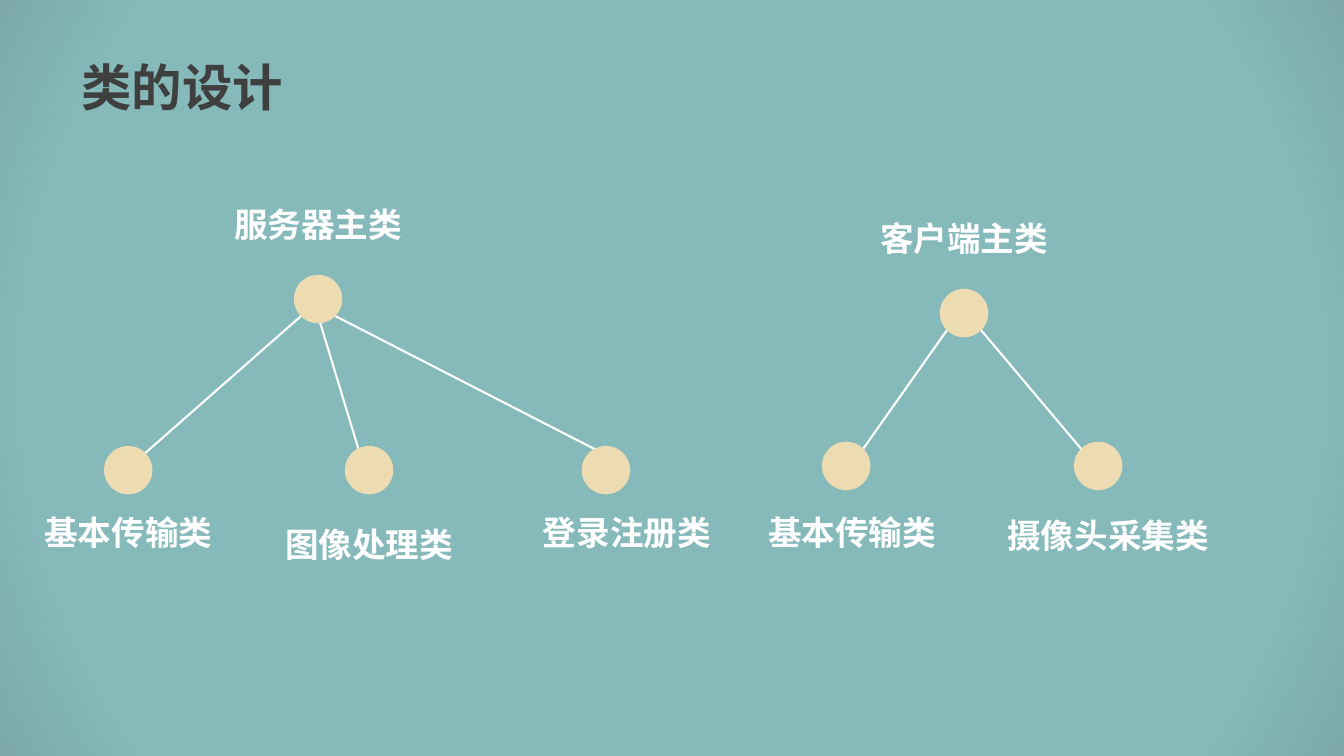
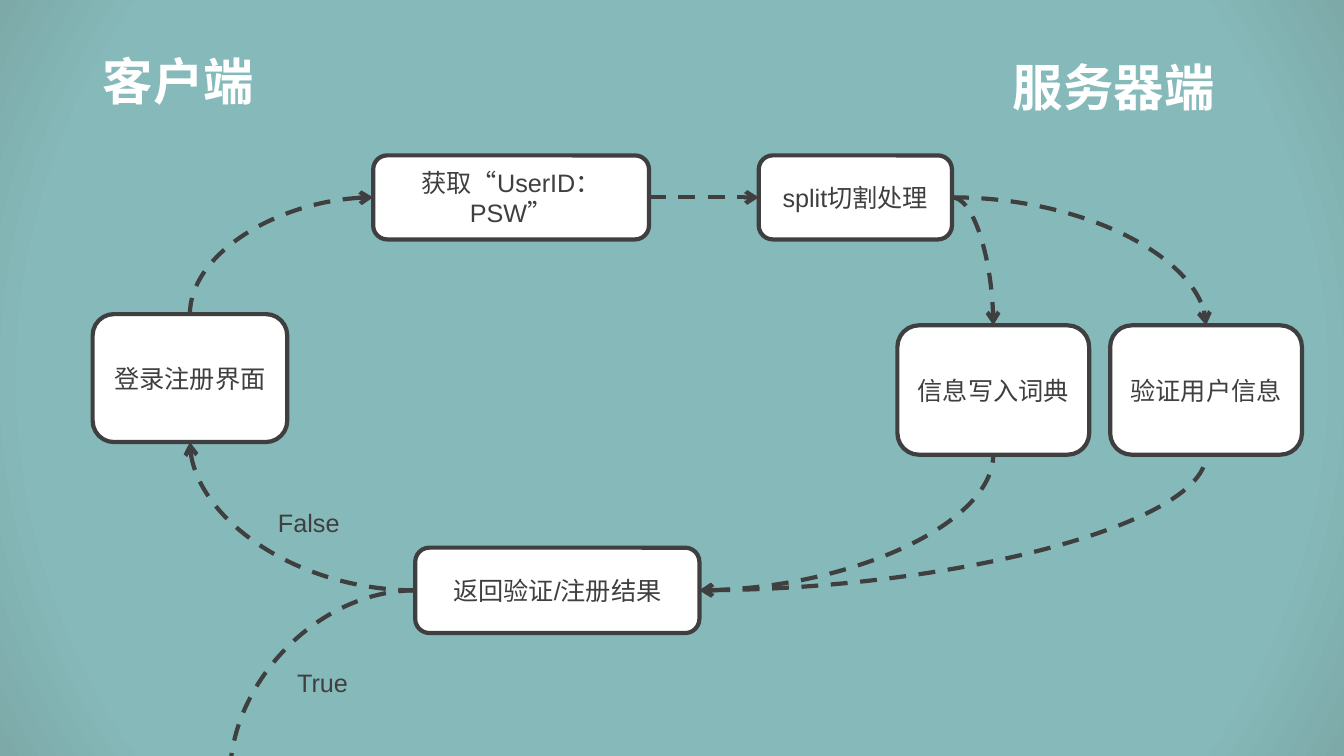
from lxml import etree
from pptx import Presentation
from pptx import util as u
from pptx.dml.color import RGBColor
from pptx.enum import dml, shapes, text
from pptx.oxml.ns import qn

Pt = u.Pt
TEAL, TEAL_MID, TEAL_EDGE = "87BBB9", "86B9BA", "7DAAA9"
WHITE, DARK, SAND = "FFFFFF", "3F3F3F", "EDDCB1"
HEAD_FONT, BODY_FONT = "Noto Sans CJK SC", "Arial"
TOP, LEFT, BOTTOM, RIGHT = range(4)  # connection sites of a box
DOT, LABEL_W, LABEL_H = 34.6, 210, 48


def rgb(hex_color):
    return RGBColor.from_string(hex_color)


class Deck:
    """Shared style and the slide being built."""

    def __init__(self):
        self.prs = Presentation()
        self.prs.slide_width, self.prs.slide_height = Pt(960), Pt(540)
        self.s = None
        self.background()

    def background(self):
        master = self.prs.slide_master
        master.background.fill.gradient()
        grad = next(master.element.iter(qn("a:gradFill")))
        for child in list(grad):
            grad.remove(child)
        stops = etree.SubElement(grad, qn("a:gsLst"))
        for pos, color in ((0, TEAL), (83, TEAL_MID), (100, TEAL_EDGE)):
            gs = etree.SubElement(stops, qn("a:gs"), pos=str(pos * 1000))
            etree.SubElement(gs, qn("a:srgbClr"), val=color)
        circle = etree.SubElement(grad, qn("a:path"), {"path": "circle"})
        etree.SubElement(circle, qn("a:fillToRect"),
                         {side: "50000" for side in "ltrb"})

    def slide(self):
        self.s = self.prs.slides.add_slide(self.prs.slide_layouts[5])

    def set_text(self, sp, words, size, color, font=BODY_FONT, bold=False,
                 align=text.PP_ALIGN.CENTER, spacing=1.0):
        tf = sp.text_frame
        tf.text = words
        tf.word_wrap = True
        tf.auto_size = text.MSO_AUTO_SIZE.NONE
        tf.vertical_anchor = text.MSO_ANCHOR.MIDDLE
        p = tf.paragraphs[0]
        p.alignment, p.line_spacing = align, spacing
        r = p.runs[0]
        r.font.size, r.font.bold, r.font.name = Pt(size), bold, font
        r.font.color.rgb = rgb(color)
        latin = r.font._element.find(qn("a:latin"))
        latin.addnext(etree.Element(qn("a:ea"), typeface=HEAD_FONT))

    def textbox(self, x, y, w, h):
        return self.s.shapes.add_textbox(Pt(x), Pt(y), Pt(w), Pt(h))

    def heading(self, sp, words, color):
        self.set_text(sp, words, 36, color, HEAD_FONT, True,
                      text.PP_ALIGN.LEFT, 0.9)

    def title(self, words, x, y, w, color):
        sp = self.s.shapes.title
        sp.left, sp.top, sp.width, sp.height = Pt(x), Pt(y), Pt(w), Pt(63.4)
        self.heading(sp, words, color)

    def side_heading(self, words, x, y, w, color):
        self.heading(self.textbox(x, y, w, 63.4), words, color)

    def label(self, words, cx, cy):
        sp = self.textbox(cx - LABEL_W / 2, cy - LABEL_H / 2, LABEL_W, LABEL_H)
        self.set_text(sp, words, 24, WHITE, HEAD_FONT, True)

    def note(self, words, x, y):
        self.set_text(self.textbox(x, y, 78, 29), words, 18, DARK,
                      align=text.PP_ALIGN.LEFT)

    def shape(self, kind, x, y, w, h, fill):
        sp = self.s.shapes.add_shape(kind, Pt(x), Pt(y), Pt(w), Pt(h))
        sp.shadow.inherit = False
        sp.fill.solid()
        sp.fill.fore_color.rgb = rgb(fill)
        return sp

    def dot(self, cx, cy):
        sp = self.shape(shapes.MSO_SHAPE.OVAL, cx - DOT / 2, cy - DOT / 2,
                        DOT, DOT, SAND)
        sp.line.fill.background()

    def box(self, words, x, y, w, h):
        sp = self.shape(shapes.MSO_SHAPE.ROUNDED_RECTANGLE, x, y, w, h, WHITE)
        sp.line.color.rgb, sp.line.width = rgb(DARK), Pt(3)
        self.set_text(sp, words, 18, DARK)
        return sp

    def line(self, x1, y1, x2, y2, color=WHITE, width=1.5,
             kind=shapes.MSO_CONNECTOR.STRAIGHT):
        c = self.s.shapes.add_connector(kind, Pt(x1), Pt(y1), Pt(x2), Pt(y2))
        c.line.color.rgb, c.line.width = rgb(color), Pt(width)
        etree.SubElement(c._element.spPr, qn("a:effectLst"))
        return c

    def flow(self, start, start_site, end, end_site=None, arrow="tailEnd",
             curved=True):
        """Dashed arrow; a curve leaves sideways and arrives vertically."""
        kinds = shapes.MSO_CONNECTOR
        x, y = end if end_site is None else (0, 0)
        c = self.line(0, 0, x, y, DARK, 3,
                      kinds.CURVE if curved else kinds.STRAIGHT)
        c.begin_connect(start, start_site)
        if end_site is not None:
            c.end_connect(end, end_site)
        if curved:
            geom = c._element.spPr.find(qn("a:prstGeom"))
            geom.set("prst", "curvedConnector2")
        c.line.dash_style = dml.MSO_LINE.DASH
        etree.SubElement(c.line._get_or_add_ln(), qn("a:" + arrow),
                         type="arrow")

    def tree(self, root, cx, cy, child_y, children):
        """Children: name, dot x, label centre, line start and end offsets."""
        for _, x, _, (dx1, dy1), (dx2, dy2) in children:
            self.line(cx + dx1, cy + dy1, x + dx2, child_y + dy2)
        self.dot(cx, cy)
        self.label(root, cx, cy - 53.6)
        for name, x, (label_x, label_y), _, _ in children:
            self.dot(x, child_y)
            self.label(name, label_x, label_y)


def class_design(d):
    d.slide()
    d.title("类的设计", 51, 32.4, 828, DARK)
    d.tree("服务器主类", 227.2, 213.6, 335.8, [
        ("基本传输类", 91.6, (91.6, 380), (-12, 12), (12, -12)),
        ("图像处理类", 263.6, (263.6, 388.5), (0, 12), (-3, 0)),
        ("登录注册类", 432.8, (447.8, 380), (12, 12), (-8, -15)),
    ])
    d.tree("客户端主类", 688.6, 223.6, 332.8, [
        ("基本传输类", 604.4, (608.6, 380), (-12, 12), (12, -12)),
        ("摄像头采集类", 784.4, (791.6, 382), (12, 12), (-12, -12)),
    ])


def login_flow(d):
    d.slide()
    d.title("客户端", 66.2, 28.8, 158.4, WHITE)
    d.side_heading("服务器端", 716.4, 32.4, 183.6, WHITE)

    # Steps
    login = d.box("登录注册界面", 66.2, 224.4, 139, 91.4)
    fetch = d.box("获取“UserID：PSW”", 266.6, 111, 197, 60)
    split = d.box("split切割处理", 542, 111, 138, 60)
    store = d.box("信息写入词典", 641, 232.4, 137, 92.4)
    verify = d.box("验证用户信息", 793, 232.4, 137, 92.4)
    result = d.box("返回验证/注册结果", 296.6, 391.2, 203, 61)

    # Arrows
    d.flow(fetch, LEFT, login, TOP, "headEnd")
    d.flow(fetch, RIGHT, split, LEFT, curved=False)
    for check in (store, verify):
        d.flow(split, RIGHT, check, TOP)
        d.flow(result, RIGHT, check, BOTTOM, "headEnd")
    d.flow(result, LEFT, login, BOTTOM)
    d.flow(result, LEFT, (164.4, 553.6))

    # Outcomes
    d.note("False", 191.5, 358.8)
    d.note("True", 205.2, 473)


def main():
    d = Deck()
    class_design(d)
    login_flow(d)
    d.prs.save("out.pptx")


if __name__ == "__main__":
    main()
